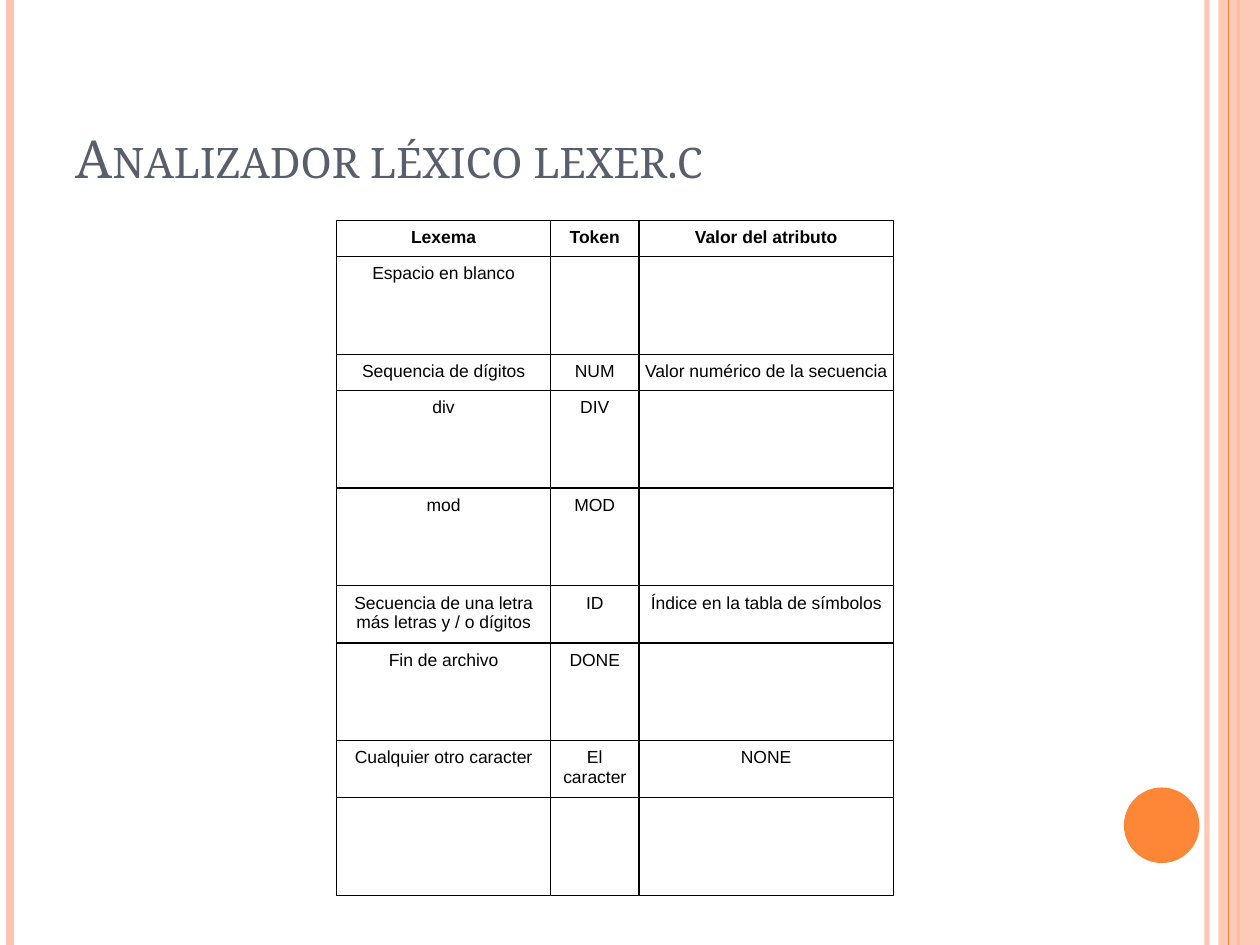
from lxml.etree import SubElement
from pptx import Presentation
from pptx.dml.color import RGBColor
from pptx.enum.shapes import MSO_CONNECTOR, MSO_SHAPE
from pptx.enum.text import MSO_ANCHOR, PP_ALIGN
from pptx.oxml import parse_xml
from pptx.oxml.ns import nsdecls, qn
from pptx.util import Inches, Pt

# Content
TITLE = "Analizador léxico lexer.c"
ROWS = [
    ("Lexema", "Token", "Valor del atributo"),
    ("Espacio en blanco", "", ""),
    ("Sequencia de dígitos", "NUM", "Valor numérico de la secuencia"),
    ("div", "DIV", ""),
    ("mod", "MOD", ""),
    ("Secuencia de una letra más letras y / o dígitos", "ID",
     "Índice en la tabla de símbolos"),
    ("Fin de archivo", "DONE", ""),
    ("Cualquier otro caracter", "El caracter", "NONE"),
    ("", "", ""),
]

# Layout and colours
WIDTH, HEIGHT = 10, 7.5
COLORS = {"peach": "FEC3AE", "orange": "FE8637", "slate": "575F6D", "black": "000000"}
ROW_HEIGHTS = {"single": 0.28, "double": 0.44, "tall": 0.775}
ROW_KINDS = ["single", "tall", "single", "tall", "tall", "double", "tall", "double", "tall"]
COLUMN_WIDTHS = [1.7, 0.7, 2.02]
TABLE_LEFT, TABLE_TOP = 2.67, 1.75
# x, colour, width in points, opacity in percent
BACK_STRIPES = [(9.58, "peach", 3, 93), (0.08, "peach", 4.5, 100), (9.83, "orange", 1.5, 100)]
FRONT_STRIPES = [(9.75, "orange", 0.75, 100)]


def color(name):
    return RGBColor.from_string(COLORS[name])


def set_opacity(element, percent):
    if percent < 100:
        rgb = next(element.iter(qn("a:srgbClr")))
        SubElement(rgb, qn("a:alpha")).set("val", str(percent * 1000))


def add_stripe(x, name, width, opacity):
    stripe = slide.shapes.add_connector(
        MSO_CONNECTOR.STRAIGHT, Inches(x), 0, Inches(x), Inches(HEIGHT))
    stripe.line.color.rgb = color(name)
    stripe.line.width = Pt(width)
    properties = stripe._element.spPr
    set_opacity(properties, opacity)
    SubElement(properties, qn("a:effectLst"))


def add_solid(kind, box, name, opacity=100):
    shape = slide.shapes.add_shape(kind, *map(Inches, box))
    shape.shadow.inherit = False
    shape.fill.solid()
    shape.fill.fore_color.rgb = color(name)
    shape.line.fill.background()
    set_opacity(shape._element.spPr, opacity)


def style_run(run, font, size, name, bold=False):
    run.font.name, run.font.size, run.font.bold = font, Pt(size), bold
    run.font.color.rgb = color(name)


def add_borders(cell):
    properties = cell._tc.get_or_add_tcPr()
    for position, side in enumerate("LRTB"):
        properties.insert(position, parse_xml(
            f'<a:ln{side} {nsdecls("a")} w="12700"><a:solidFill>'
            f'<a:srgbClr val="{COLORS["black"]}"/></a:solidFill></a:ln{side}>'))


presentation = Presentation()
presentation.slide_width, presentation.slide_height = Inches(WIDTH), Inches(HEIGHT)
slide = presentation.slides.add_slide(presentation.slide_layouts[6])

# Side decoration
for stripe in BACK_STRIPES:
    add_stripe(*stripe)
add_solid(MSO_SHAPE.RECTANGLE, (9.67, 0, 0.33, HEIGHT), "peach", 87)
for stripe in FRONT_STRIPES:
    add_stripe(*stripe)
add_solid(MSO_SHAPE.OVAL, (8.92, 6.25, 0.6, 0.6), "orange")

# Title in small capitals
title = slide.shapes.add_textbox(*map(Inches, (0.5, 0.3, 8.17, 1.25)))
title.text_frame.word_wrap = True
title.text_frame.vertical_anchor = MSO_ANCHOR.BOTTOM
title.text_frame.text = TITLE
title_run = title.text_frame.paragraphs[0].runs[0]
style_run(title_run, "Noto Serif", 30, "slate")
title_run.font._element.set("cap", "small")

# Table of lexemes
heights = [ROW_HEIGHTS[kind] for kind in ROW_KINDS]
table = slide.shapes.add_table(
    len(ROWS), len(COLUMN_WIDTHS), Inches(TABLE_LEFT), Inches(TABLE_TOP),
    Inches(sum(COLUMN_WIDTHS)), Inches(sum(heights))).table
table.first_row = table.horz_banding = False
for column, width in zip(table.columns, COLUMN_WIDTHS):
    column.width = Inches(width)
for row_index, (texts, height) in enumerate(zip(ROWS, heights)):
    table.rows[row_index].height = Inches(height)
    for column_index, text in enumerate(texts):
        cell = table.cell(row_index, column_index)
        cell.fill.background()
        add_borders(cell)
        cell.margin_left = cell.margin_right = Inches(0.05)
        cell.margin_top = cell.margin_bottom = Inches(0.06)
        cell.text_frame.text = text
        paragraph = cell.text_frame.paragraphs[0]
        paragraph.alignment = PP_ALIGN.CENTER
        for run in paragraph.runs:
            style_run(run, "Arial", 10, "black", bold=row_index == 0)

presentation.save("out.pptx")
